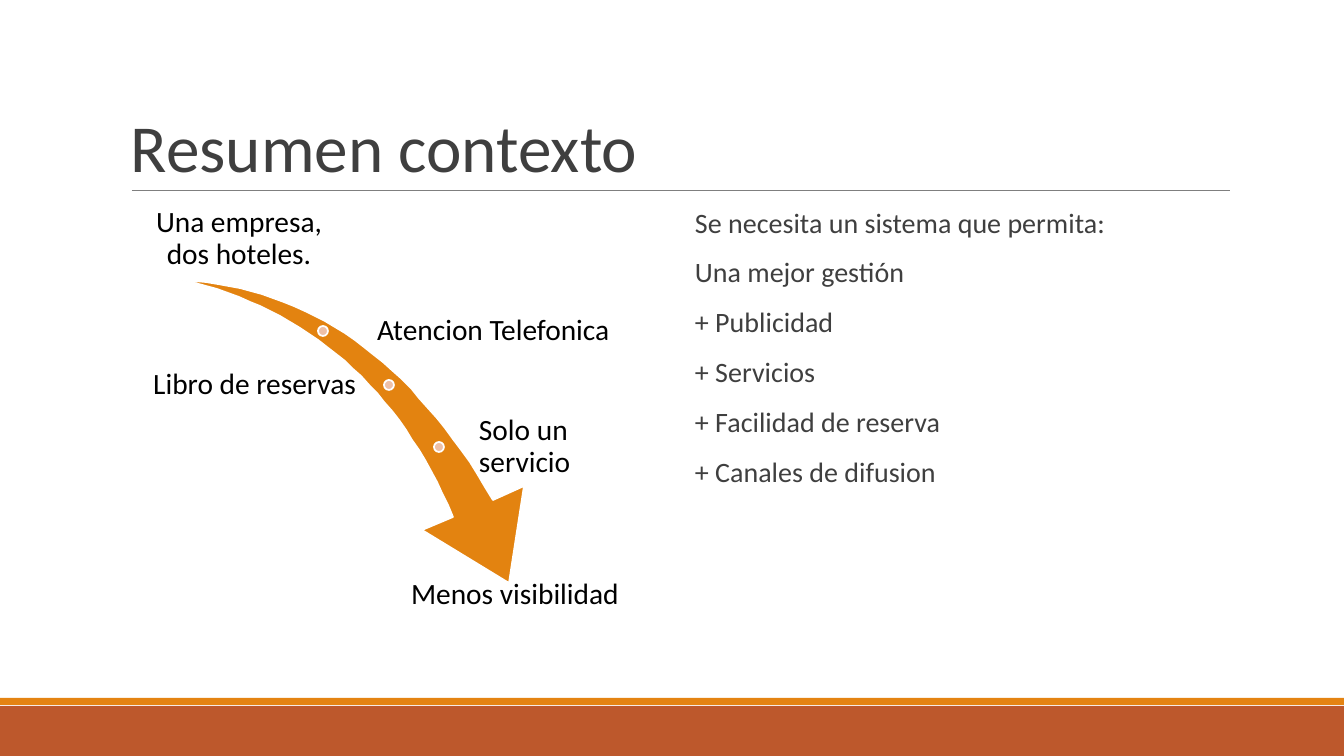
from lxml import etree
from pptx import Presentation
from pptx.dml.color import RGBColor
from pptx.enum.shapes import MSO_CONNECTOR, MSO_SHAPE
from pptx.enum.text import MSO_ANCHOR, PP_ALIGN
from pptx.oxml.ns import qn
from pptx.util import Emu, Pt

LEFT, MID, RIGHT = PP_ALIGN.LEFT, PP_ALIGN.CENTER, PP_ALIGN.RIGHT
TOP, CENTER, BASE = MSO_ANCHOR.TOP, MSO_ANCHOR.MIDDLE, MSO_ANCHOR.BOTTOM
RECT, OVAL = MSO_SHAPE.RECTANGLE, MSO_SHAPE.OVAL

TITLE = "Resumen contexto"
NEEDS = [
    "Se necesita un sistema que permita:",
    "Una mejor gestión",
    "+ Publicidad",
    "+ Servicios",
    "+ Facilidad de reserva",
    "+ Canales de difusion",
]
LABELS = [
    ("Una empresa, dos hoteles.", (149, 204, 180, 70), MID, BASE),
    ("Atencion Telefonica", (374, 296, 263, 70), LEFT, CENTER),
    ("Libro de reservas", (149, 350, 210, 70), RIGHT, CENTER),
    ("Solo un servicio", (476, 412, 161, 70), LEFT, CENTER),
    ("Menos visibilidad", (393, 576, 244, 70), MID, TOP),
]
DOTS = [(323, 331), (389, 385), (439, 447)]
DOT = 10
OUTER = [(183, 280), (309, 287), (412, 360), (493, 500)]
HEAD = [(524, 486), (509, 583), (422, 530), (453, 517)]
INNER = [(453, 517), (399, 388), (308, 309), (183, 280)]
BANDS = [((0, 706, 1344, 50), "rust"), ((0, 698, 1344, 7), "orange")]
COLORS = {
    "rust": "BD582C", "orange": "E48312", "arrow": "E38310", "dot": "EEC0A7",
    "white": "FFFFFF", "rule": "7F7F7F", "gray": "3F3F3F", "black": "000000",
}
FONT = "Calibri"
SCALE = 914400 / 100.8
STEPS = 32


def px(n):
    return Emu(round(n * SCALE))


def color(name):
    return RGBColor.from_string(COLORS[name])


def paint(shape, fill, line=None):
    shape.shadow.inherit = False
    shape.fill.solid()
    shape.fill.fore_color.rgb = color(fill)
    if line:
        shape.line.color.rgb = color(line)
        shape.line.width = Pt(1.25)
    else:
        shape.line.fill.background()


def add_shape(slide, kind, box, fill, line=None):
    paint(slide.shapes.add_shape(kind, *map(px, box)), fill, line)


def add_text(slide, lines, box, size, ink, pad, align=LEFT, anchor=TOP, pitch=0.9, gap=0):
    frame = slide.shapes.add_textbox(*map(px, box)).text_frame
    frame.word_wrap = True
    frame.vertical_anchor = anchor
    frame.margin_left = frame.margin_right = px(pad[0])
    frame.margin_top = frame.margin_bottom = px(pad[1])
    frame.text = "\n".join(lines)
    for i, para in enumerate(frame.paragraphs):
        para.alignment = align
        para.line_spacing = pitch
        if i and gap:
            para.space_before = Pt(gap)
        for run in para.runs:
            run.font.name = FONT
            run.font.size = Pt(size)
            run.font.color.rgb = color(ink)


def curve(ends):
    points = []
    for i in range(1, STEPS + 1):
        t = i / STEPS
        u = 1 - t
        parts = (u ** 3, 3 * u * u * t, 3 * u * t * t, t ** 3)
        points.append(tuple(sum(w * p[k] for w, p in zip(parts, ends)) for k in (0, 1)))
    return points


def add_arrow(slide):
    pen = slide.shapes.build_freeform(*OUTER[0], scale=SCALE)
    pen.add_line_segments(curve(OUTER) + HEAD + curve(INNER), close=True)
    paint(pen.convert_to_shape(), "arrow", "white")


def add_rule(slide):
    rule = slide.shapes.add_connector(MSO_CONNECTOR.STRAIGHT, *map(px, (132, 191, 1230, 191)))
    rule.line.color.rgb = color("rule")
    rule.line.width = Pt(0.75)
    etree.SubElement(rule._element.spPr, qn("a:effectLst"))


def main():
    deck = Presentation()
    deck.slide_width, deck.slide_height = px(1344), px(756)
    slide = deck.slides.add_slide(deck.slide_layouts[6])
    for box, fill in BANDS:
        add_shape(slide, RECT, box, fill)
    add_rule(slide)
    add_text(slide, [TITLE], (121, 31, 1109, 160), 48, "gray", (10, 5), anchor=BASE, pitch=0.85)
    add_arrow(slide)
    for x, y in DOTS:
        add_shape(slide, OVAL, (x - DOT / 2, y - DOT / 2, DOT, DOT), "dot", "white")
    for text, box, align, anchor in LABELS:
        add_text(slide, [text], box, 21, "black", (3, 3), align, anchor)
    add_text(slide, NEEDS, (685, 204, 544, 444), 20, "gray", (10, 5), gap=14)
    deck.save("out.pptx")


if __name__ == "__main__":
    main()
